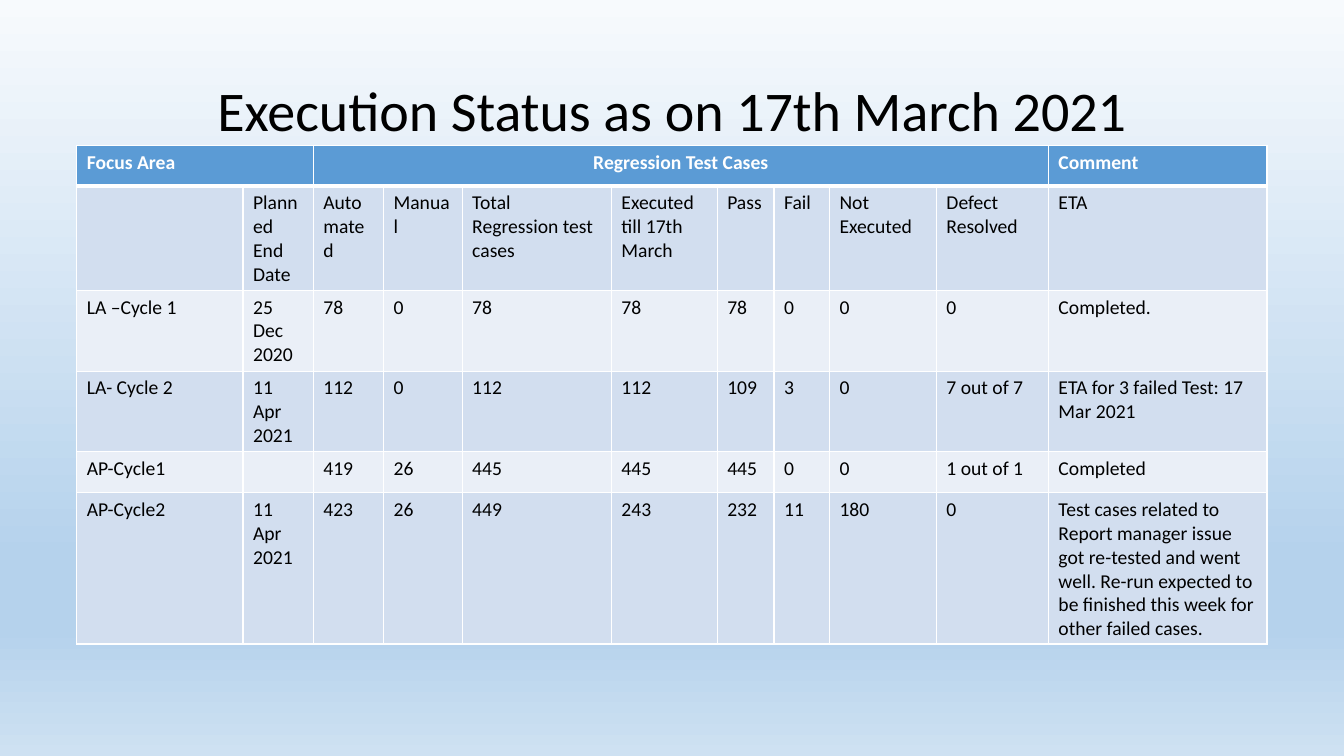
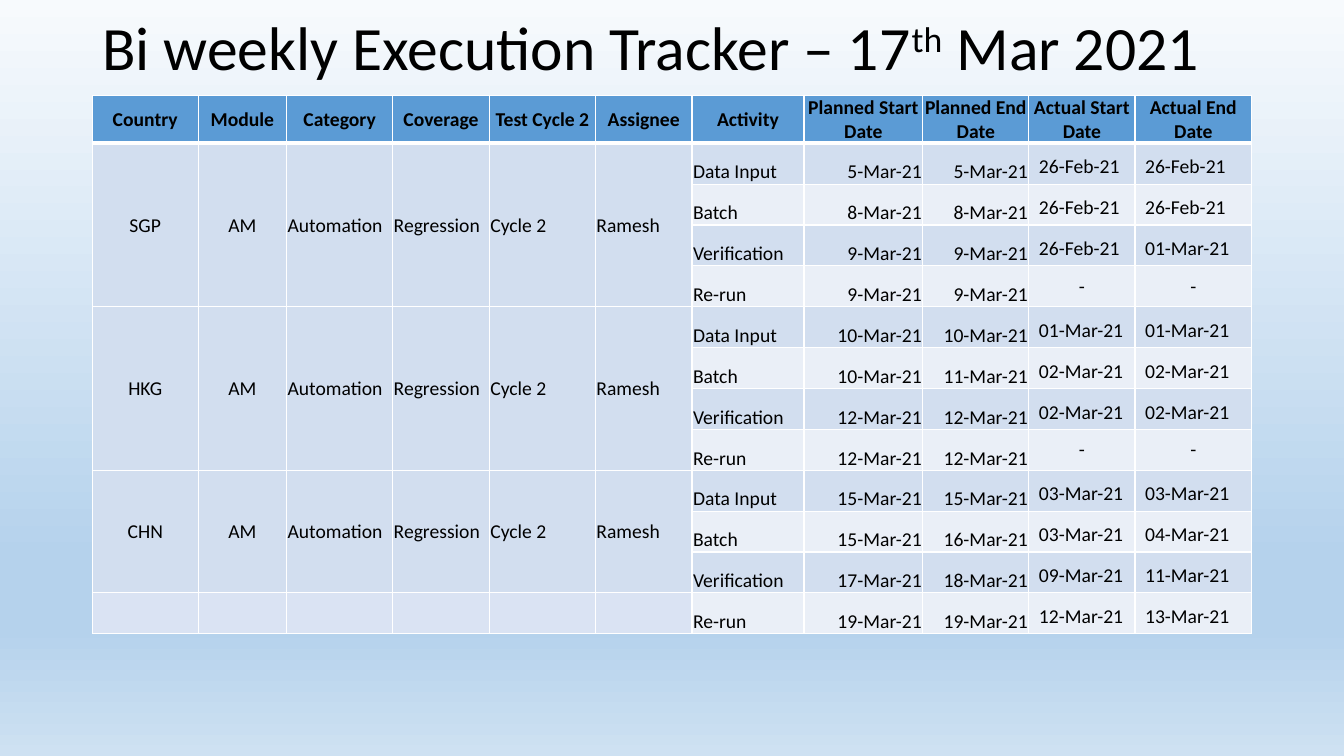
from lxml import etree
from pptx import Presentation
from pptx import util as u
from pptx.dml.color import RGBColor
from pptx.enum import text
from pptx.oxml import ns

Pt = u.Pt
LEFT, CENTER, RIGHT = text.PP_ALIGN.LEFT, text.PP_ALIGN.CENTER, text.PP_ALIGN.RIGHT
TOP, MIDDLE, BOTTOM = text.MSO_ANCHOR.TOP, text.MSO_ANCHOR.MIDDLE, text.MSO_ANCHOR.BOTTOM

BLACK = RGBColor(0x00, 0x00, 0x00)
WHITE = RGBColor(0xFF, 0xFF, 0xFF)
HEADER_BLUE = RGBColor(0x5B, 0x9B, 0xD5)
BAND_DARK = RGBColor(0xD2, 0xDE, 0xEF)
BAND_LIGHT = RGBColor(0xEA, 0xEF, 0xF7)
EMPTY_BLUE = RGBColor(0xDA, 0xE3, 0xF3)
SKY_STOPS = [
    (0, RGBColor(0xF7, 0xFA, 0xFD)),
    (74, RGBColor(0xB5, 0xD2, 0xEC)),
    (83, RGBColor(0xB5, 0xD2, 0xEC)),
    (100, RGBColor(0xCE, 0xE1, 0xF2)),
]

ROOMY = {"margin_left": Pt(7.2), "margin_right": Pt(7.2),
         "margin_top": Pt(3.6), "margin_bottom": Pt(3.6)}
TIGHT = {"margin_left": Pt(0.7), "margin_right": Pt(0.7),
         "margin_top": Pt(0.7), "margin_bottom": Pt(0)}


def apply(target, formats):
    for name, value in formats.items():
        setattr(target, name, value)


def add_color(parent, color):
    fill = etree.SubElement(parent, ns.qn("a:solidFill"))
    etree.SubElement(fill, ns.qn("a:srgbClr"), val=str(color))


class Deck:
    """Holds the shared style and the current slide."""

    font_name = "Calibri"
    cell_size = Pt(14)
    row_height = Pt(29.2)

    def __init__(self):
        self.presentation = Presentation()
        self.presentation.slide_width = Pt(960)
        self.presentation.slide_height = Pt(540)
        self.slide = None
        self.paint_background()

    def paint_background(self):
        master = self.presentation.slide_master
        fill = master.background.fill
        fill.gradient()
        fill.gradient_angle = 270
        stops = next(master.element.iter(ns.qn("a:gsLst")))
        for stop in list(stops):
            stops.remove(stop)
        for percent, color in SKY_STOPS:
            stop = etree.SubElement(stops, ns.qn("a:gs"), pos=str(percent * 1000))
            etree.SubElement(stop, ns.qn("a:srgbClr"), val=str(color))

    def new_slide(self):
        self.slide = self.presentation.slides.add_slide(self.presentation.slide_layouts[6])

    def add_words(self, paragraph, words, color, **formats):
        run = paragraph.add_run()
        run.text = words
        apply(run.font, {"name": self.font_name, **formats})
        run.font.color.rgb = color
        return run

    def title(self, top, height, size, align, parts):
        """Parts are (words, raised) pairs."""
        shape = self.slide.shapes.add_textbox(Pt(66), Pt(top), Pt(828), Pt(height))
        apply(shape.text_frame, {"word_wrap": True, "vertical_anchor": MIDDLE, **ROOMY})
        paragraph = shape.text_frame.paragraphs[0]
        apply(paragraph, {"alignment": align, "line_spacing": 0.9})
        for words, raised in parts:
            run = self.add_words(paragraph, words, BLACK, size=Pt(size))
            if raised:
                run.font._element.set("baseline", "30000")

    def borders(self, cell, row):
        properties = cell._tc.get_or_add_tcPr()
        widths = {"lnL": 1, "lnR": 1, "lnT": 3 if row == 1 else 1, "lnB": 3 if row == 0 else 1}
        for side, width in widths.items():
            line = etree.SubElement(properties, ns.qn("a:" + side), w=str(Pt(width)))
            add_color(line, WHITE)

    def table(self, left, top, widths, rows, spans, look):
        """look(row, column, words) gives cell formats, alignment, fill and text colour."""
        frame = self.slide.shapes.add_table(
            len(rows), len(widths), Pt(left), Pt(top),
            Pt(sum(widths)), self.row_height * len(rows))
        table = frame.table
        for column, width in zip(table.columns, widths):
            column.width = Pt(width)
        for row, line in enumerate(rows):
            table.rows[row].height = self.row_height
            for column, words in enumerate(line):
                cell = table.cell(row, column)
                formats, align, fill, color = look(row, column, words)
                self.borders(cell, row)
                apply(cell, formats)
                cell.fill.solid()
                cell.fill.fore_color.rgb = fill
                if words:
                    paragraph = cell.text_frame.paragraphs[0]
                    paragraph.alignment = align
                    self.add_words(paragraph, words, color, size=self.cell_size, bold=row == 0)
        for row, column, height, width in spans:
            table.cell(row, column).merge(table.cell(row + height - 1, column + width - 1))


def band(row):
    if row == 0:
        return HEADER_BLUE
    return BAND_DARK if row % 2 else BAND_LIGHT


# Execution status
STATUS_WIDTHS = [118.8, 50.2, 50.2, 56.2, 106.6, 75.6, 40.6, 39.6, 76.4, 80, 156.2]
STATUS_ROWS = [
    ["Focus Area", "", "Regression Test Cases", "", "", "", "", "", "", "", "Comment"],
    ["", "Planned End Date", "Automated", "Manual", "Total Regression test cases",
     "Executed till 17th March", "Pass", "Fail", "Not Executed", "Defect Resolved", "ETA"],
    ["LA –Cycle 1", "25 Dec 2020", "78", "0", "78", "78", "78", "0", "0", "0", "Completed."],
    ["LA- Cycle 2", "11 Apr 2021", "112", "0", "112", "112", "109", "3", "0", "7 out of 7",
     "ETA for 3 failed Test: 17 Mar 2021"],
    ["AP-Cycle1", "", "419", "26", "445", "445", "445", "0", "0", "1 out of 1", "Completed"],
    ["AP-Cycle2", "11 Apr 2021", "423", "26", "449", "243", "232", "11", "180", "0",
     "Test cases related to Report manager issue got re-tested and went well. "
     "Re-run expected to be finished this week for other failed cases."],
]


def status_look(row, column, words):
    align = CENTER if (row, column) == (0, 2) else LEFT
    return {"vertical_anchor": TOP, **ROOMY}, align, band(row), BLACK if row else WHITE


# Execution tracker
TRACKER_WIDTHS = [75.6, 63.2, 75.8, 69, 75.8, 69, 80, 84.8, 75.8, 75.8, 83.4]
TRACKER_HEADER = ["Country", "Module", "Category", "Coverage", "Test Cycle 2", "Assignee",
                  "Activity", "Planned Start Date", "Planned End Date",
                  "Actual Start Date", "Actual End Date"]
COUNTRIES = ["SGP", "HKG", "CHN"]
SHARED_FACTS = ["AM", "Automation", "Regression", "Cycle 2", "Ramesh"]
ACTIVITIES = ["Data Input", "Batch", "Verification", "Re-run"]
TRACKER_DATES = [
    ["5-Mar-21", "5-Mar-21", "26-Feb-21", "26-Feb-21"],
    ["8-Mar-21", "8-Mar-21", "26-Feb-21", "26-Feb-21"],
    ["9-Mar-21", "9-Mar-21", "26-Feb-21", "01-Mar-21"],
    ["9-Mar-21", "9-Mar-21", "-", "-"],
    ["10-Mar-21", "10-Mar-21", "01-Mar-21", "01-Mar-21"],
    ["10-Mar-21", "11-Mar-21", "02-Mar-21", "02-Mar-21"],
    ["12-Mar-21", "12-Mar-21", "02-Mar-21", "02-Mar-21"],
    ["12-Mar-21", "12-Mar-21", "-", "-"],
    ["15-Mar-21", "15-Mar-21", "03-Mar-21", "03-Mar-21"],
    ["15-Mar-21", "16-Mar-21", "03-Mar-21", "04-Mar-21"],
    ["17-Mar-21", "18-Mar-21", "09-Mar-21", "11-Mar-21"],
    ["19-Mar-21", "19-Mar-21", "12-Mar-21", "13-Mar-21"],
]
FACT_COUNT = 1 + len(SHARED_FACTS)
LAST_ROW = len(TRACKER_DATES)


def tracker_rows():
    rows = [TRACKER_HEADER]
    for index, dates in enumerate(TRACKER_DATES):
        group, step = divmod(index, len(ACTIVITIES))
        facts = [""] * FACT_COUNT if step else [COUNTRIES[group]] + SHARED_FACTS
        rows.append(facts + [ACTIVITIES[step]] + dates)
    return rows


def tracker_spans():
    """Each country spans its activities, except that the last row stays apart."""
    size = len(ACTIVITIES)
    return [(start, column, min(size, LAST_ROW - start), 1)
            for start in range(1, LAST_ROW, size) for column in range(FACT_COUNT)]


def tracker_look(row, column, words):
    fill, anchor, align, margins = band(row), BOTTOM, LEFT, TIGHT
    if row == 0:
        anchor, align = MIDDLE, CENTER
    elif column < FACT_COUNT:
        anchor = MIDDLE
        align = CENTER if column < 2 else LEFT
        fill = EMPTY_BLUE if row == LAST_ROW else BAND_DARK
    elif column in (7, 8):
        align = RIGHT
    elif column > 8:
        margins = ROOMY
        if words == "-":
            anchor, align = MIDDLE, CENTER
    return {"vertical_anchor": anchor, **margins}, align, fill, BLACK


def main():
    deck = Deck()

    # Slide 1: status
    deck.new_slide()
    deck.title(28.8, 104.4, 40, CENTER, [("Execution Status as on 17th March 2021", False)])
    deck.table(54.8, 103.8, STATUS_WIDTHS, STATUS_ROWS, [(0, 0, 1, 2), (0, 2, 1, 8)], status_look)

    # Slide 2: tracker
    deck.new_slide()
    deck.title(-0.7, 74.2, 44, LEFT, [("Bi weekly Execution Tracker – 17", False),
                                      ("th", True), (" Mar 2021", False)])
    deck.table(66, 68, TRACKER_WIDTHS, tracker_rows(), tracker_spans(), tracker_look)

    deck.presentation.save("out.pptx")


if __name__ == "__main__":
    main()
